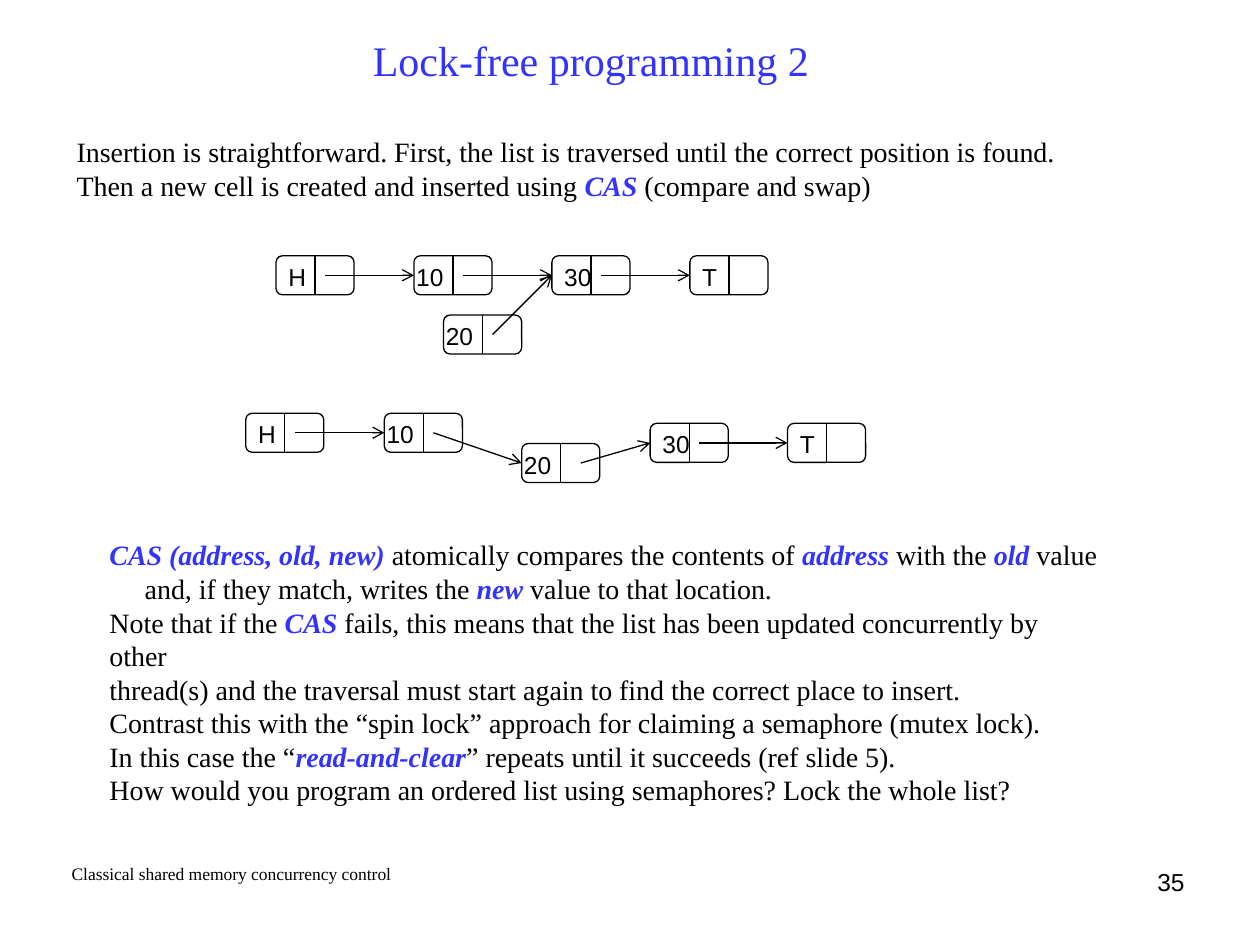
from lxml import etree
from pptx import Presentation
from pptx.dml.color import RGBColor
from pptx.enum import shapes, text
from pptx.oxml.ns import qn
from pptx.util import Inches, Pt

BLACK = RGBColor(0x00, 0x00, 0x00)
BLUE = RGBColor(0x33, 0x33, 0xFF)
SERIF, SANS = "Times New Roman", "Arial"
CELL_W, CELL_H = 0.62, 0.31
PITCH = 1.095  # distance between neighbouring cells of a list

INTRO = [
    "Insertion is straightforward. First, the list is traversed until the correct position is found.",
    "Then a new cell is created and inserted using *CAS* (compare and swap)",
]
EXPLANATION = [
    "*CAS (address, old, new) *atomically compares the contents of *address* with the *old* value",
    "and, if they match, writes the *new* value to that location.",
    "Note that if the *CAS* fails, this means that the list has been updated concurrently by other",
    "thread(s) and the traversal must start again to find the correct place to insert.",
    "Contrast this with the “spin lock” approach for claiming a semaphore (mutex lock).",
    "In this case the “*read-and-clear*” repeats until it succeeds (ref slide 5).",
    "How would you program an ordered list using semaphores? Lock the whole list?",
]


def add_text(s, box, lines, size, font=SERIF, color=BLACK,
             align=text.PP_ALIGN.LEFT, wrap=True):
    """Add a text box; words between asterisks become blue bold italic."""
    tf = s.shapes.add_textbox(*map(Inches, box)).text_frame
    tf.word_wrap = wrap
    for i, line in enumerate(lines):
        p = tf.add_paragraph() if i else tf.paragraphs[0]
        p.alignment = align
        for j, part in enumerate(line.split("*")):
            if not part:
                continue
            r = p.add_run()
            r.text = part
            r.font.name, r.font.size = font, Pt(size)
            r.font.bold = r.font.italic = j % 2 == 1
            r.font.color.rgb = BLUE if j % 2 else color
    return tf


def add_line(s, x1, y1, x2, y2):
    line = s.shapes.add_connector(shapes.MSO_CONNECTOR.STRAIGHT,
                                  *map(Inches, (x1, y1, x2, y2)))
    line.line.color.rgb = BLACK
    line.line.width = Pt(0.75)
    etree.SubElement(line._element.spPr, qn("a:effectLst"))
    return line


def add_cell(s, label, x, y):
    """Add a list cell: a value on the left and a pointer field on the right."""
    cell = s.shapes.add_shape(shapes.MSO_SHAPE.ROUNDED_RECTANGLE,
                              *map(Inches, (x, y, CELL_W, CELL_H)))
    cell.shadow.inherit = False
    cell.fill.background()
    cell.line.color.rgb = BLACK
    cell.line.width = Pt(0.75)
    add_line(s, x + CELL_W / 2, y, x + CELL_W / 2, y + CELL_H)
    shift = 0.08 if label in ("10", "20") else 0
    add_text(s, (x - shift, y, 0.47, 0.34), [label], 14, SANS)
    return cell


def add_pointer(s, source, target, start=0.39):
    """Draw an arrow from the pointer field of one cell to the next cell."""
    x, y = source.left.inches + start, source.top.inches + CELL_H / 2
    arrow = add_line(s, x, y, target.left.inches, target.top.inches + CELL_H / 2)
    arrow.end_connect(target, 1)
    etree.SubElement(arrow.line._get_or_add_ln(), qn("a:tailEnd"), type="arrow")


def add_list_before(s):
    """The new cell 20 already points at 30, but 10 does too."""
    cells = [add_cell(s, label, 2.19 + i * PITCH, 2.03)
             for i, label in enumerate(("H", "10", "30", "T"))]
    for source, target in zip(cells, cells[1:]):
        add_pointer(s, source, target)
    add_pointer(s, add_cell(s, "20", 3.52, 2.5), cells[2])


def add_list_after(s):
    """Cell 20 is linked in between 10 and 30."""
    places = [("H", 1.95, 3.28), ("10", 3.05, 3.28), ("20", 4.14, 3.52),
              ("30", 5.16, 3.36), ("T", 6.25, 3.36)]
    cells = [add_cell(s, *place) for place in places]
    for (label, _, _), source, target in zip(places, cells, cells[1:]):
        add_pointer(s, source, target, 0.47 if label == "20" else 0.39)


def main():
    prs = Presentation()
    prs.slide_width, prs.slide_height = Inches(10), Inches(7.5)
    s = prs.slides.add_slide(prs.slide_layouts[6])

    title = add_text(s, (0.19, 0.16, 9, 0.63), ["Lock-free programming 2"], 24,
                     color=BLUE, align=text.PP_ALIGN.CENTER)
    title.vertical_anchor = text.MSO_ANCHOR.MIDDLE
    add_text(s, (0.51, 1.02, 7.97, 0.64), INTRO, 16, wrap=False)
    add_list_before(s)
    add_list_after(s)
    explanation = add_text(s, (0.77, 4.22, 8.08, 1.97), EXPLANATION, 16, wrap=False)
    explanation.paragraphs[1]._p.get_or_add_pPr().set("marL", str(Inches(0.28)))

    add_text(s, (0.47, 6.8, 3.15, 0.36),
             ["Classical shared memory concurrency control"], 10)
    add_text(s, (7.17, 6.83, 2.33, 0.52), ["35"], 14, SANS,
             align=text.PP_ALIGN.RIGHT)
    prs.save("out.pptx")


if __name__ == "__main__":
    main()
